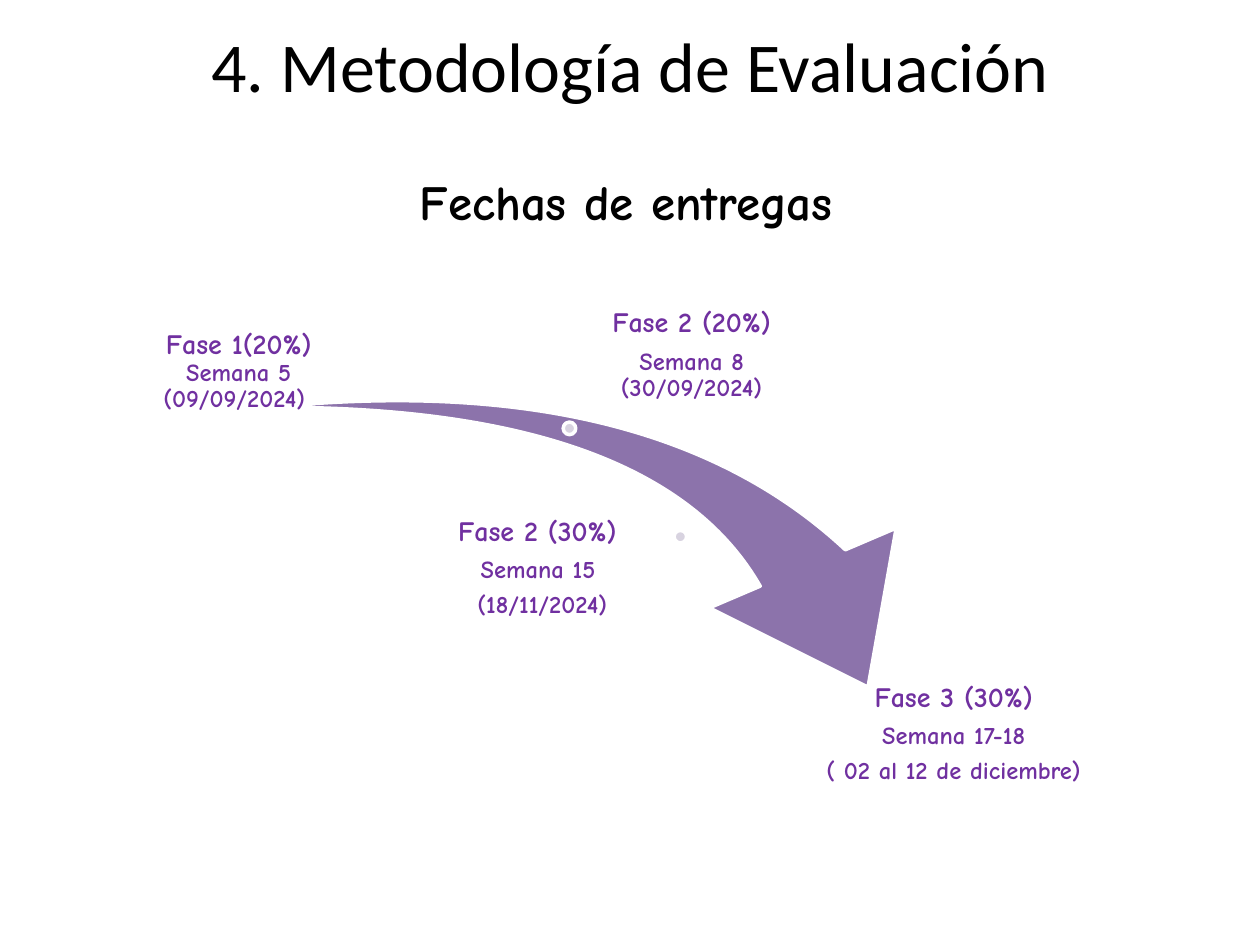
from lxml.etree import SubElement
from pptx import Presentation
from pptx.dml.color import RGBColor
from pptx.enum.shapes import MSO_SHAPE as Shape
from pptx.enum.text import MSO_ANCHOR as Anchor, PP_ALIGN as Align
from pptx.oxml.ns import qn
from pptx.util import Inches, Pt

COLUMNS, ROWS = 100, 75
BLANK_LAYOUT = 6


def color(hex_code):
    return RGBColor.from_string(hex_code)


class TimelineSlide:
    """Draws on one slide; boxes are (left, top, width, height) in grid units."""
    title_font, body_font = "Calibri", "Comic Neue"
    black, white, purple = "000000", "FFFFFF", "7030A0"
    arrow_fill, dot_fill = "8064A2", "D8D3E0"

    def __init__(self, deck):
        self.slide = deck.slides.add_slide(deck.slide_layouts[BLANK_LAYOUT])
        self.column = deck.slide_width / COLUMNS
        self.row = deck.slide_height / ROWS

    def place(self, left, top, width, height):
        return (round(left * self.column), round(top * self.row),
                round(width * self.column), round(height * self.row))

    def frame(self, box, anchor, side_inset, end_inset):
        frame = self.slide.shapes.add_textbox(*self.place(*box)).text_frame
        frame.word_wrap = True
        frame.vertical_anchor = anchor
        frame.margin_left = frame.margin_right = Inches(side_inset)
        frame.margin_top = frame.margin_bottom = Inches(end_inset)
        return frame

    def style(self, run, size, font, hex_code, bold):
        run.font.size = Pt(size)
        run.font.name = font
        run.font.bold = bold
        run.font.color.rgb = color(hex_code)

    def heading(self, wording, box, size, font, anchor, bold=False, before=0):
        line = self.frame(box, anchor, 0.1, 0.05).paragraphs[0]
        line.text = wording
        line.alignment = Align.CENTER
        line.space_before = Pt(before)
        self.style(line.runs[0], size, font, self.black, bold)

    def phase(self, box, anchor, lines):
        """Each line is a list of runs; the very first run is the phase name."""
        frame = self.frame(box, anchor, 0.02, 0.02)
        for row, wordings in enumerate(lines):
            line = frame.add_paragraph() if row else frame.paragraphs[0]
            line.alignment = Align.CENTER
            line.line_spacing = 0.9
            self.space_after(line, 35)
            for part, wording in enumerate(wordings):
                run = line.add_run()
                run.text = wording
                size = 16 if row == part == 0 else 14
                self.style(run, size, self.body_font, self.purple, True)

    def space_after(self, line, percent):
        spacing = SubElement(line._p.get_or_add_pPr(), qn("a:spcAft"))
        SubElement(spacing, qn("a:spcPct"), val=str(percent * 1000))

    def outlined(self, kind, box, fill):
        shape = self.slide.shapes.add_shape(kind, *self.place(*box))
        shape.shadow.inherit = False
        shape.fill.solid()
        shape.fill.fore_color.rgb = color(fill)
        shape.line.color.rgb = color(self.white)
        shape.line.width = Pt(2)
        return shape

    def arrow(self, box, rotation, adjustments, opacity):
        arrow = self.outlined(Shape.SWOOSH_ARROW, box, self.arrow_fill)
        arrow.rotation = rotation
        for index, value in enumerate(adjustments):
            arrow.adjustments[index] = value
        fill = arrow._element.spPr.find(qn("a:solidFill"))
        SubElement(fill[0], qn("a:alpha"), val=str(opacity * 1000))

    def dot(self, left, top):
        self.outlined(Shape.OVAL, (left, top, 1, 1), self.dot_fill)


def main():
    deck = Presentation()
    deck.slide_width, deck.slide_height = Inches(10), Inches(7.5)
    page = TimelineSlide(deck)

    page.heading("4. Metodología de Evaluación", (5, 1.3, 90, 7.7), 40,
                 page.title_font, Anchor.MIDDLE)
    page.heading("Fechas de entregas", (4.7, 13.1, 90, 5.7), 28,
                 page.body_font, Anchor.TOP, bold=True, before=6.4)

    page.arrow((30.5, 20.2, 34.9, 44.8), 73.3, (0.163, 0.314), opacity=90)
    page.dot(44.7, 33.5)
    page.dot(53.5, 42.1)

    phases = [
        ((10.5, 25.6, 16.9, 7.4), Anchor.BOTTOM,
         [["Fase 1(20%) ", "Semana 5 (09/09/2024) "]]),
        ((47.6, 24.5, 14.6, 7.4), Anchor.MIDDLE,
         [["Fase 2 (20%)"], ["Semana 8 (30/09/2024)"]]),
        ((30.3, 41.4, 25.5, 7.4), Anchor.MIDDLE,
         [["Fase 2 (30%) "], ["Semana 15 "], ["(18/11/2024)"]]),
        ((59.4, 54, 32.6, 11), Anchor.TOP,
         [["Fase 3 (30%)"], ["Semana 17-18"], ["( 02 al 12 de diciembre)"]]),
    ]
    for box, anchor, lines in phases:
        page.phase(box, anchor, lines)

    deck.save("out.pptx")


if __name__ == "__main__":
    main()
